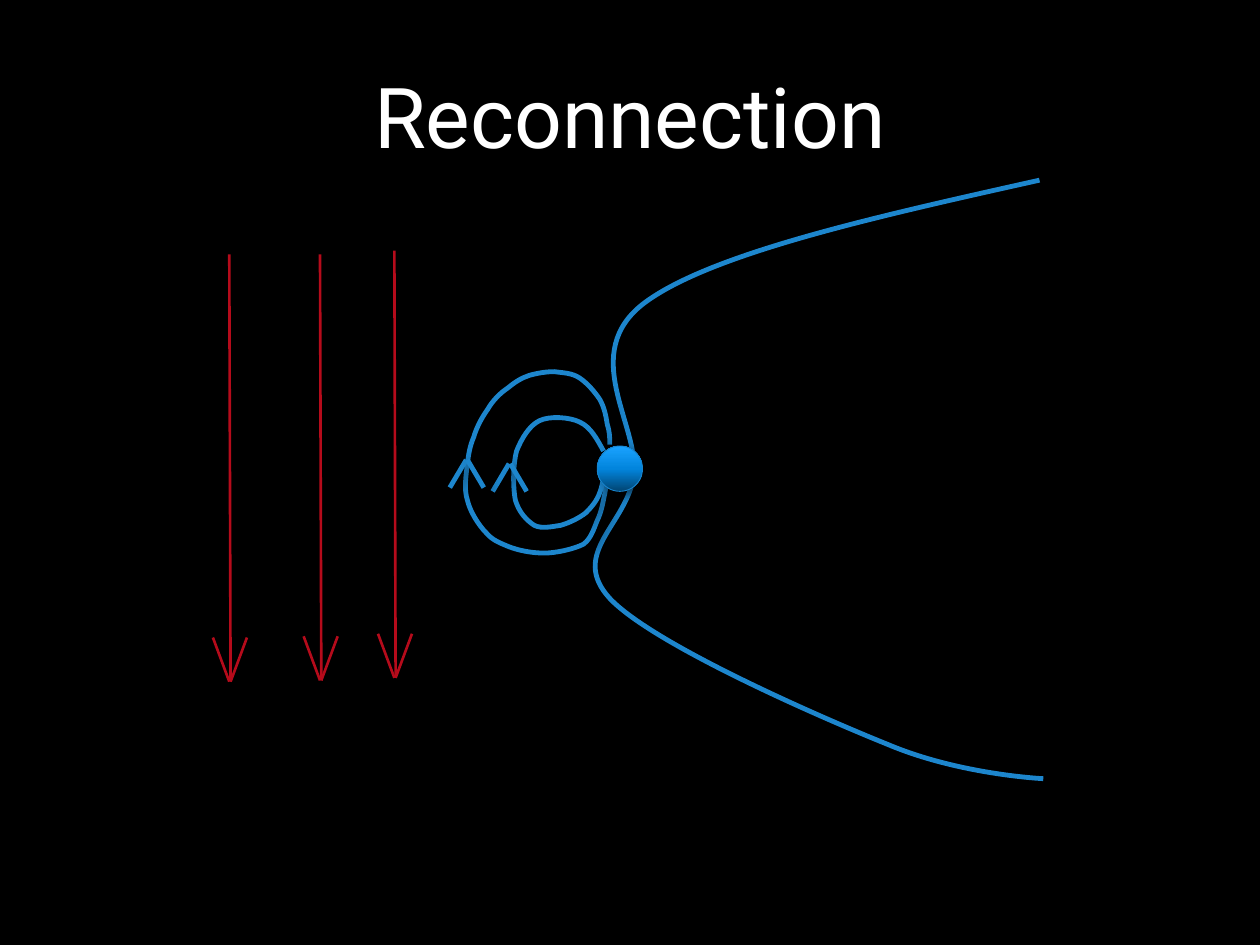
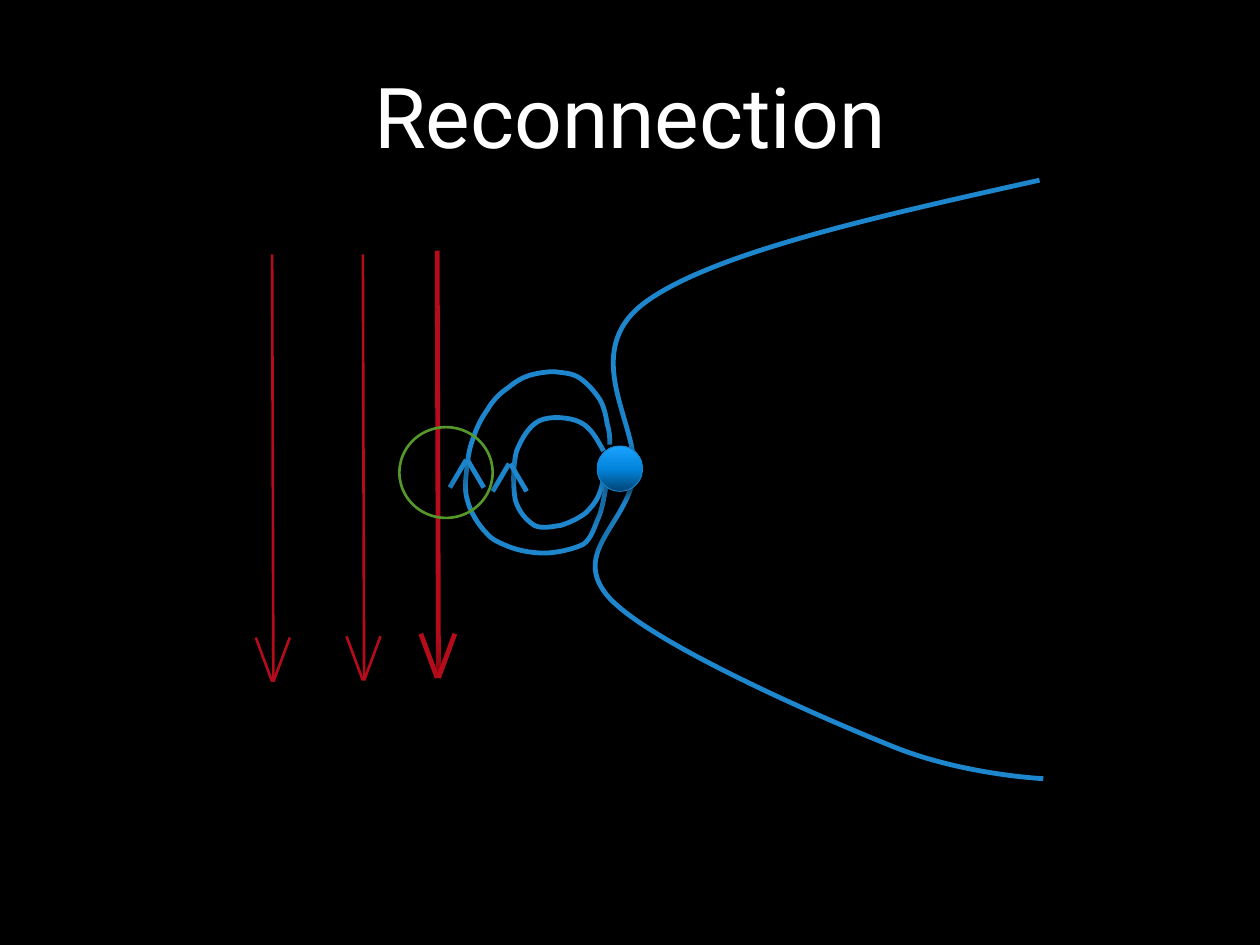
from copy import deepcopy

from lxml.etree import SubElement
from pptx import Presentation
from pptx.dml.color import RGBColor
from pptx.enum.shapes import MSO_CONNECTOR, MSO_SHAPE
from pptx.enum.text import MSO_ANCHOR, PP_ALIGN
from pptx.oxml.ns import qn
from pptx.util import Inches, Pt

BLACK = RGBColor(0x00, 0x00, 0x00)
WHITE = RGBColor(0xFF, 0xFF, 0xFF)
FIELD_BLUE = RGBColor(0x1D, 0x86, 0xCD)
PLANET_EDGE = RGBColor(0x18, 0x84, 0xCD)
PLANET_STOPS = [(0, RGBColor(0x01, 0x45, 0x73)), (0.5, RGBColor(0x02, 0x85, 0xDD)),
                (1, RGBColor(0x1A, 0xA3, 0xFF))]
WIND_RED = RGBColor(0xB5, 0x0B, 0x1B)
RING_GREEN = RGBColor(0x55, 0x99, 0x2B)

FONT = "Roboto"
THIN, THICK = 1.5, 2.75
APEX_GAP = 0.01     # distance between the two strokes meeting at an arrow tip
BARB_WIDTH = 0.13

# Shadows: opacity %, blur pt, distance pt, angle
CAST = (55, 7, 4, 35)
SOFT = (40, 5, 0, 0)

# Field lines: the box, the start point, then (control, control, end) per curve
OPEN_FIELD = (4.72, 1.43, 3.55, 4.75), (8.25, 1.43), [
    (6.95, 1.72, 5.65, 2.01, 5.12, 2.4), (4.58, 2.8, 5.08, 3.38, 5.03, 3.77),
    (4.98, 4.16, 4.51, 4.39, 4.84, 4.75), (5.18, 5.11, 6.48, 5.68, 7.05, 5.91),
    (7.62, 6.15, 8.28, 6.18, 8.28, 6.18),
]
OUTER_LOOP = (3.69, 2.95, 1.14, 1.44), (4.84, 3.53), [
    (4.84, 3.48, 4.84, 3.43, 4.82, 3.37), (4.81, 3.31, 4.8, 3.24, 4.76, 3.17),
    (4.72, 3.11, 4.66, 3.04, 4.6, 3), (4.54, 2.96, 4.47, 2.96, 4.4, 2.95),
    (4.34, 2.95, 4.27, 2.96, 4.2, 2.98), (4.14, 3, 4.09, 3.03, 4.03, 3.08),
    (3.97, 3.12, 3.91, 3.18, 3.87, 3.25), (3.82, 3.32, 3.78, 3.4, 3.76, 3.47),
    (3.73, 3.54, 3.72, 3.6, 3.71, 3.68), (3.7, 3.77, 3.68, 3.88, 3.71, 3.97),
    (3.73, 4.06, 3.8, 4.17, 3.86, 4.23), (3.91, 4.29, 3.97, 4.31, 4.04, 4.34),
    (4.12, 4.37, 4.22, 4.39, 4.32, 4.39), (4.41, 4.39, 4.55, 4.36, 4.63, 4.32),
    (4.7, 4.27, 4.72, 4.17, 4.75, 4.11), (4.78, 4.04, 4.79, 3.96, 4.8, 3.92),
    (4.81, 3.87, 4.81, 3.83, 4.81, 3.83),
]
INNER_LOOP = (4.09, 3.31, 0.71, 0.87), (4.79, 3.58), [
    (4.74, 3.49, 4.69, 3.39, 4.6, 3.35), (4.52, 3.31, 4.36, 3.3, 4.28, 3.34),
    (4.2, 3.38, 4.14, 3.48, 4.1, 3.58), (4.07, 3.69, 4.07, 3.87, 4.09, 3.97),
    (4.12, 4.07, 4.18, 4.13, 4.24, 4.17), (4.3, 4.2, 4.38, 4.18, 4.45, 4.17),
    (4.52, 4.15, 4.6, 4.11, 4.65, 4.07), (4.7, 4.02, 4.74, 3.97, 4.76, 3.91),
    (4.79, 3.84, 4.8, 3.7, 4.8, 3.7),
]
INNER_TIP, OUTER_TIP = (4.04, 3.68), (3.7, 3.65)
PLANET = (4.74, 3.54, 0.36, 0.36)
RING = (3.17, 3.39, 0.74, 0.72)

# Solar wind arrows, nearest the planet first: x, top, bottom
WIND = [(3.13, 1.99, 5.38), (2.54, 2.02, 5.4), (1.82, 2.02, 5.41)]

SLIDES = [
    dict(title="Reconnection", wind_shift=0, touching=False),
    dict(title="Reconnection", wind_shift=0.34, touching=True),
]


def style(sp, color, width, shadow=None):
    """Set the line, then the shadow, or an empty effect list for none."""
    sp.line.color.rgb = color
    sp.line.width = Pt(width)
    effects = SubElement(sp._element.spPr, qn("a:effectLst"))
    if shadow:
        alpha, blur, dist, angle = shadow
        outer = SubElement(effects, qn("a:outerShdw"), blurRad=str(Pt(blur)),
                           dist=str(Pt(dist)), dir=str(angle * 60000),
                           algn="ctr", rotWithShape="0")
        clr = SubElement(outer, qn("a:srgbClr"), val=str(BLACK))
        SubElement(clr, qn("a:alpha"), val=str(alpha * 1000))


def add_line(shapes, start, end, *look):
    ends = [Inches(v) for v in (*start, *end)]
    style(shapes.add_connector(MSO_CONNECTOR.STRAIGHT, *ends), *look)


def add_head(shapes, x, y, rise, *look):
    """Two barbs from a tip at (x, y); a negative rise points the tip down."""
    for side, foot in ((-1, x), (1, x + APEX_GAP)):
        add_line(shapes, (foot, y), (foot + side * BARB_WIDTH, y + rise), *look)


def add_wind(shapes, x, top, bottom, *look):
    group = shapes.add_group_shape().shapes
    add_line(group, (x, top), (x + APEX_GAP, bottom), *look)
    add_head(group, x, bottom, -0.35, *look)


def place(sp, box):
    sp.left, sp.top, sp.width, sp.height = (Inches(v) for v in box)


def add_field(shapes, field, shadow):
    """Build the outline through the curve ends, then bend it into cubic curves."""
    box, start, curves = field
    builder = shapes.build_freeform(*(Inches(v) for v in start))
    builder.add_line_segments(
        [(Inches(c[4]), Inches(c[5])) for c in curves], close=False)
    sp = builder.convert_to_shape()
    place(sp, box)

    outline = sp._element.spPr.find(".//" + qn("a:path"))
    outline.set("w", str(sp.width))
    outline.set("h", str(sp.height))
    for step in list(outline):
        outline.remove(step)
    for tag, coords in [("a:moveTo", start)] + [("a:cubicBezTo", c) for c in curves]:
        step = SubElement(outline, qn(tag))
        for x, y in zip(coords[::2], coords[1::2]):
            SubElement(step, qn("a:pt"), x=str(Inches(x) - sp.left),
                       y=str(Inches(y) - sp.top))
    sp.fill.background()
    style(sp, FIELD_BLUE, THICK, shadow)


def add_ellipse(shapes, box):
    return shapes.add_shape(MSO_SHAPE.OVAL, *(Inches(v) for v in box))


def add_planet(shapes):
    sp = add_ellipse(shapes, PLANET)
    sp.fill.gradient()
    sp.fill.gradient_angle = 90
    stop_list = sp._element.spPr.find(".//" + qn("a:gsLst"))
    stop_list.append(deepcopy(stop_list[0]))
    for stop, (position, color) in zip(sp.fill.gradient_stops, PLANET_STOPS):
        stop.position = position
        stop.color.rgb = color
    style(sp, PLANET_EDGE, 0.5, CAST)


def add_title(slide, text):
    title = slide.shapes.title
    place(title, (0.75, 0.13, 8.5, 1.56))
    tf = title.text_frame
    tf.vertical_anchor = MSO_ANCHOR.MIDDLE
    p = tf.paragraphs[0]
    p.alignment = PP_ALIGN.CENTER
    r = p.add_run()
    r.text = text
    r.font.name, r.font.size = FONT, Pt(48)
    r.font.color.rgb = WHITE


def add_magnetosphere(shapes, open_shadow):
    add_field(shapes, OPEN_FIELD, open_shadow)
    for loop in (OUTER_LOOP, INNER_LOOP):
        add_field(shapes, loop, CAST)
    add_planet(shapes)
    add_head(shapes, *INNER_TIP, 0.22, FIELD_BLUE, THICK, CAST)
    outer_head = shapes.add_group_shape().shapes
    add_head(outer_head, *OUTER_TIP, 0.22, FIELD_BLUE, THICK, CAST)


def main():
    prs = Presentation()
    prs.slide_width, prs.slide_height = Inches(10), Inches(7.5)
    background = prs.slide_master.background.fill
    background.solid()
    background.fore_color.rgb = BLACK

    for scene in SLIDES:
        slide = prs.slides.add_slide(prs.slide_layouts[5])
        shapes, touching = slide.shapes, scene["touching"]
        add_title(slide, scene["title"])
        add_magnetosphere(shapes, SOFT if touching else CAST)
        for i, (x, top, bottom) in enumerate(WIND):
            look = (THICK, CAST) if touching and i == 0 else (THIN,)
            add_wind(shapes, x + scene["wind_shift"], top, bottom, WIND_RED, *look)
        if touching:
            ring = add_ellipse(shapes, RING)
            ring.fill.background()
            style(ring, RING_GREEN, THIN)

    prs.save("out.pptx")


if __name__ == "__main__":
    main()
